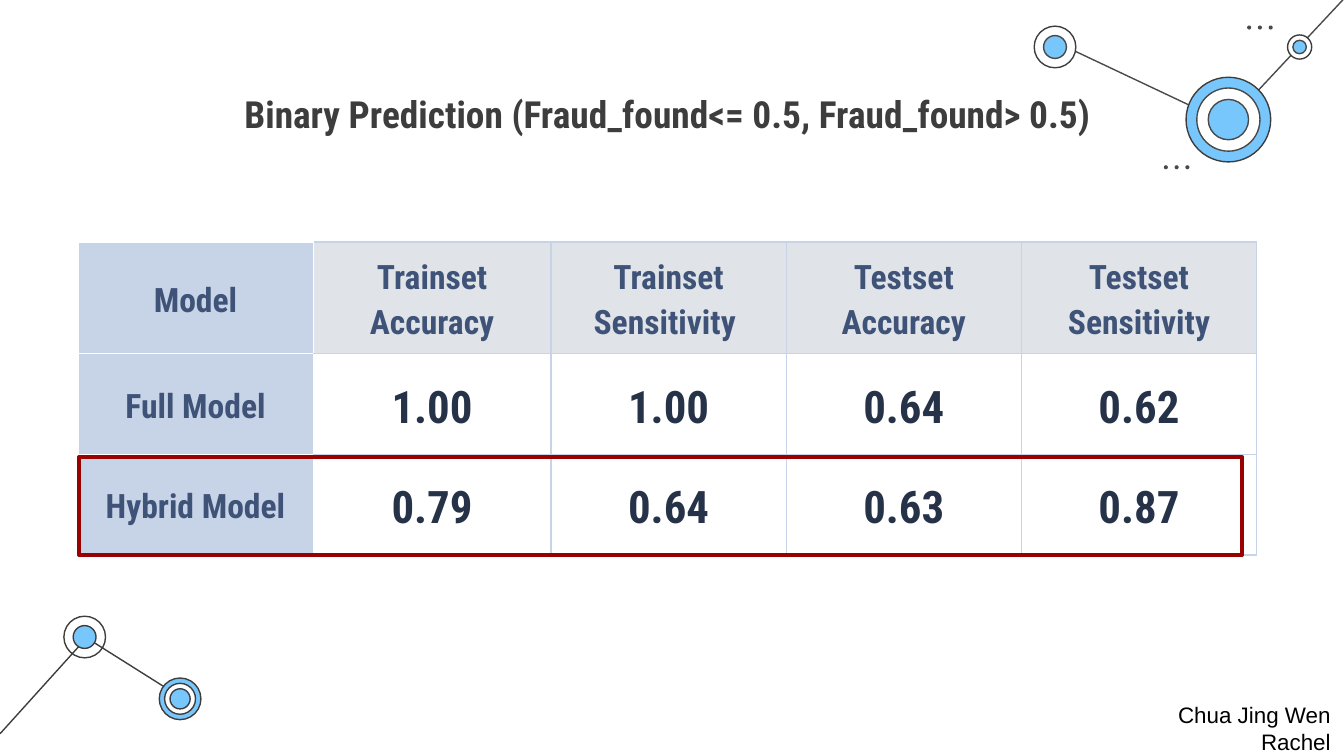
from dataclasses import dataclass

from lxml.etree import SubElement
from pptx import Presentation
from pptx.dml.color import RGBColor
from pptx.enum.shapes import MSO_CONNECTOR, MSO_SHAPE
from pptx.enum.text import MSO_ANCHOR, PP_ALIGN
from pptx.oxml.ns import qn
from pptx.util import Inches, Pt


@dataclass(frozen=True)
class Theme:
    ink: str = "3D3D3D"
    soft_ink: str = "494949"
    sky: str = "77C6FC"
    white: str = "FFFFFF"
    black: str = "000000"
    label: str = "3F5378"
    score: str = "263248"
    model_fill: str = "C7D3E6"
    header_fill: str = "E0E4E9"
    highlight: str = "990000"
    font: str = "Roboto Condensed"
    author_font: str = "Arial"
    title_size: int = 20
    label_size: int = 18
    score_size: int = 24
    author_size: int = 12
    hairline: float = 0.75
    highlight_line: float = 2.25


THEME = Theme()

RESULTS = [
    ["Model", "Trainset Accuracy", "Trainset Sensitivity ", "Testset Accuracy", "Testset Sensitivity"],
    ["Full Model", "1.00", "1.00", "0.64", "0.62"],
    ["Hybrid Model", "0.79", "0.64", "0.63", "0.87"],
]
COLUMN_WIDTHS = [1.75, 1.77, 1.75, 1.75, 1.75]
ROW_HEIGHT = 0.75

LINKS = [
    ((0.65, 4.75), (1.38, 5.21), THEME.ink),
    ((0, 5.46), (0.65, 4.74), THEME.ink),
    ((9.14, 0.92), (7.87, 0.32), THEME.soft_ink),
    ((10, -0.01), (9.14, 0.91), THEME.soft_ink),
]
# Centre of each node, then its rings from the outside in: diameter, fill, outline
NODES = [
    ((0.63, 4.74), [(0.31, None, THEME.ink), (0.17, THEME.sky, THEME.ink)]),
    ((1.34, 5.2), [(0.31, THEME.sky, THEME.ink), (0.23, THEME.white, THEME.ink),
                   (0.15, THEME.sky, THEME.ink)]),
    ((9.14, 0.89), [(0.63, THEME.sky, THEME.ink), (0.47, THEME.white, THEME.soft_ink),
                    (0.3, THEME.sky, THEME.soft_ink)]),
    ((7.85, 0.35), [(0.31, THEME.white, THEME.ink), (0.17, THEME.sky, THEME.soft_ink)]),
    ((9.67, 0.35), [(0.18, THEME.white, THEME.ink), (0.1, THEME.sky, THEME.soft_ink)]),
]
DOT_ROWS = [(9.28, 0.19), (8.66, 1.23)]
DOT_SIZE = 0.03
DOT_STEP = 0.08


def color(code):
    return RGBColor.from_string(code)


def add_link(slide, start, end, line_color):
    link = slide.shapes.add_connector(MSO_CONNECTOR.STRAIGHT, *map(Inches, start + end))
    link.line.color.rgb = color(line_color)
    link.line.width = Pt(THEME.hairline)
    SubElement(link._element.spPr, qn("a:effectLst"))


def add_figure(slide, preset, box, fill=None, outline=None, width=THEME.hairline):
    figure = slide.shapes.add_shape(preset, *map(Inches, box))
    figure.shadow.inherit = False
    if fill:
        figure.fill.solid()
        figure.fill.fore_color.rgb = color(fill)
    else:
        figure.fill.background()
    if outline:
        figure.line.color.rgb = color(outline)
        figure.line.width = Pt(width)
    else:
        figure.line.fill.background()


def add_node(slide, center, rings):
    x, y = center
    for diameter, fill, outline in rings:
        box = (x - diameter / 2, y - diameter / 2, diameter, diameter)
        add_figure(slide, MSO_SHAPE.OVAL, box, fill, outline)


def add_dots(slide, left, top):
    for i in range(3):
        box = (left + i * DOT_STEP, top, DOT_SIZE, DOT_SIZE)
        add_figure(slide, MSO_SHAPE.OVAL, box, THEME.soft_ink)


def write(paragraph, text, font, size, text_color, align, bold=False):
    paragraph.alignment = align
    run = paragraph.add_run()
    run.text = text
    run.font.name = font
    run.font.size = Pt(size)
    run.font.bold = bold
    run.font.color.rgb = color(text_color)


def add_text(slide, box, text, **style):
    frame = slide.shapes.add_textbox(*map(Inches, box)).text_frame
    frame.word_wrap = True
    frame.margin_left = frame.margin_right = Inches(0.1)
    frame.margin_top = frame.margin_bottom = Inches(0.1)
    write(frame.paragraphs[0], text, **style)


def set_borders(cell, left, right, top, bottom):
    properties = cell._tc.get_or_add_tcPr()
    sides = {"a:lnL": left, "a:lnR": right, "a:lnT": top, "a:lnB": bottom}
    for tag, line_color in sides.items():
        border = SubElement(properties, qn(tag), w=str(Pt(THEME.hairline)))
        fill = SubElement(border, qn("a:solidFill"))
        SubElement(fill, qn("a:srgbClr"), val=line_color)


def style_cell(cell, text, row, column):
    is_label = row == 0 or column == 0
    edge = THEME.white if column == 0 else THEME.model_fill
    left = THEME.white if column <= 1 else THEME.model_fill
    set_borders(cell, left, edge, edge, edge)
    if is_label:
        cell.fill.solid()
        cell.fill.fore_color.rgb = color(THEME.model_fill if column == 0 else THEME.header_fill)
    else:
        cell.fill.background()
    cell.vertical_anchor = MSO_ANCHOR.MIDDLE
    cell.margin_left = cell.margin_right = Inches(0.1)
    cell.margin_top = cell.margin_bottom = Inches(0.07)
    paragraph = cell.text_frame.paragraphs[0]
    paragraph.line_spacing = 1.15
    write(paragraph, text, THEME.font,
          THEME.label_size if is_label else THEME.score_size,
          THEME.label if is_label else THEME.score,
          PP_ALIGN.CENTER, bold=True)


def add_results_table(slide, left, top):
    size = (sum(COLUMN_WIDTHS), ROW_HEIGHT * len(RESULTS))
    table = slide.shapes.add_table(
        len(RESULTS), len(COLUMN_WIDTHS), *map(Inches, (left, top) + size)).table
    table.first_row = table.horz_banding = False
    for column, width in zip(table.columns, COLUMN_WIDTHS):
        column.width = Inches(width)
    for r, row in enumerate(RESULTS):
        table.rows[r].height = Inches(ROW_HEIGHT)
        for c, text in enumerate(row):
            style_cell(table.cell(r, c), text, r, c)


def main():
    deck = Presentation()
    deck.slide_width = Inches(10)
    deck.slide_height = Inches(10 * 9 / 16)
    slide = deck.slides.add_slide(deck.slide_layouts[6])

    for start, end, line_color in LINKS:
        add_link(slide, start, end, line_color)
    for center, rings in NODES:
        add_node(slide, center, rings)
    for left, top in DOT_ROWS:
        add_dots(slide, left, top)

    add_text(slide, (0.79, 0.58, 8.42, 0.63),
             "Binary Prediction (Fraud_found<= 0.5, Fraud_found> 0.5) ",
             font=THEME.font, size=THEME.title_size, text_color=THEME.ink,
             align=PP_ALIGN.CENTER, bold=True)
    add_results_table(slide, 0.58, 1.8)
    add_figure(slide, MSO_SHAPE.RECTANGLE, (0.59, 3.4, 8.65, 0.73),
               outline=THEME.highlight, width=THEME.highlight_line)
    add_text(slide, (8.62, 5.12, 1.38, 0.42), "Chua Jing Wen Rachel",
             font=THEME.author_font, size=THEME.author_size, text_color=THEME.black,
             align=PP_ALIGN.RIGHT)
    deck.save("out.pptx")


if __name__ == "__main__":
    main()
